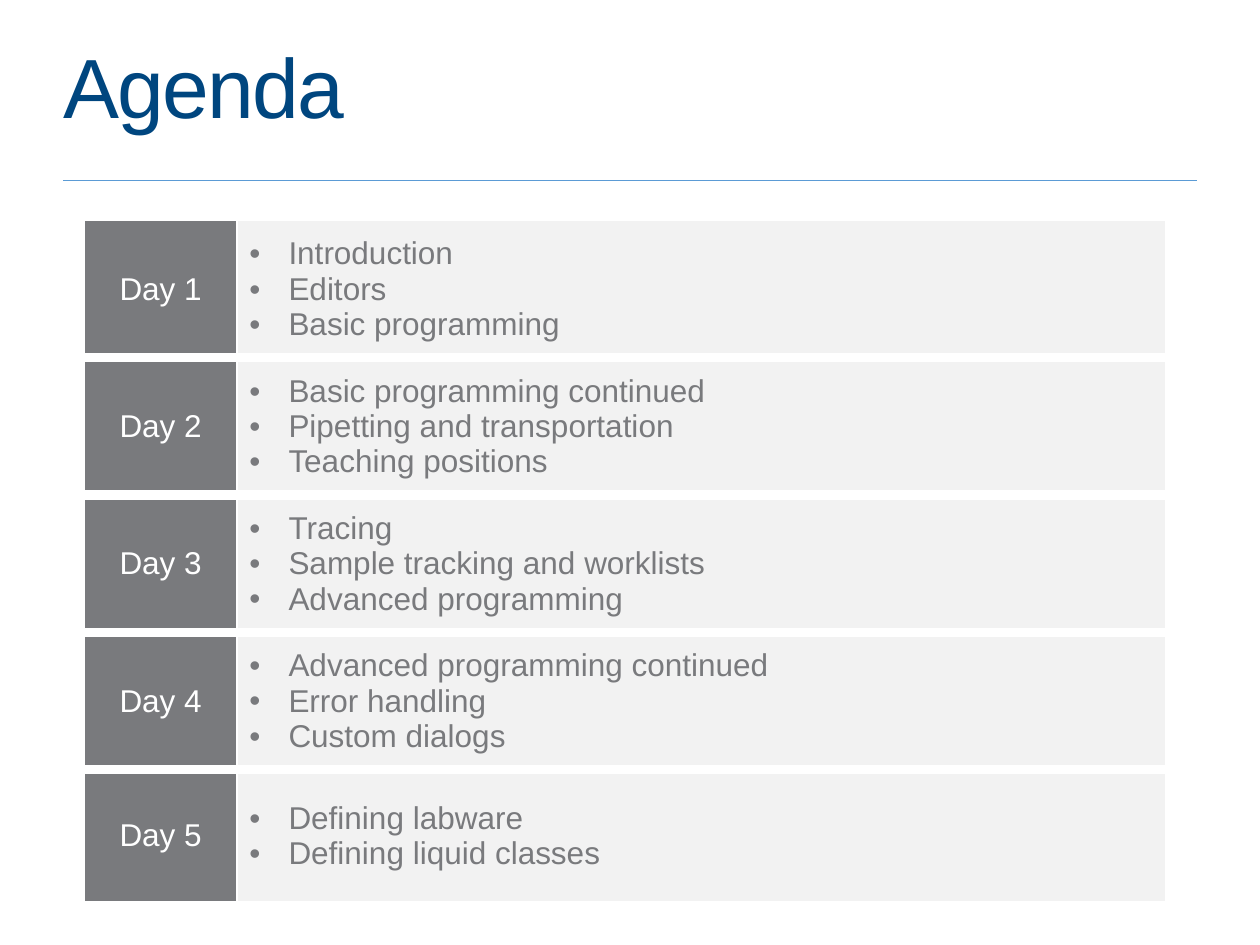
from dataclasses import dataclass

from lxml import etree
from pptx import Presentation
from pptx.dml.color import RGBColor
from pptx.enum import shapes, text
from pptx.oxml import ns
from pptx.slide import Slide
from pptx.table import _Cell
from pptx.text.text import _Paragraph
from pptx.util import Inches, Pt

COLOURS = {"title": "00467F", "rule": "5B9BD5", "grey": "797A7D",
           "pale": "F2F2F2", "white": "FFFFFF"}
FONT = "Arial"
THIN, THICK = 1, 6


@dataclass
class Day:
    name: str
    topics: list[str]
    height: float = 1.09


DAYS = [
    Day("Day 1", ["Introduction", "Editors", "Basic programming"]),
    Day("Day 2", ["Basic programming continued", "Pipetting and transportation",
                  "Teaching positions"]),
    Day("Day 3", ["Tracing", "Sample tracking and worklists", "Advanced programming"]),
    Day("Day 4", ["Advanced programming continued", "Error handling", "Custom dialogs"]),
    Day("Day 5", ["Defining labware", "Defining liquid classes"], 1.05),
]


def colour(name: str) -> RGBColor:
    return RGBColor.from_string(COLOURS[name])


def add_span(para: _Paragraph, words: str, size: float, ink: str):
    span = para.add_run()
    span.text = words
    span.font.name, span.font.size = FONT, Pt(size)
    span.font.color.rgb = colour(ink)
    return span


def add_bullet(para: _Paragraph) -> None:
    props = para._p.get_or_add_pPr()
    indent = Inches(0.31)
    props.set("marL", str(indent))
    props.set("indent", str(-indent))
    etree.SubElement(props, ns.qn("a:buFont"), typeface=FONT)
    etree.SubElement(props, ns.qn("a:buChar"), char="•")


def style_cell(cell: _Cell, fill: str, top: float, bottom: float) -> None:
    cell.vertical_anchor = text.MSO_ANCHOR.MIDDLE
    props = cell._tc.get_or_add_tcPr()
    # Borders come before the fill in the cell properties
    for side, width in (("L", THIN), ("R", THIN), ("T", top), ("B", bottom)):
        edge = etree.SubElement(props, ns.qn(f"a:ln{side}"), w=str(Pt(width)))
        paint = etree.SubElement(edge, ns.qn("a:solidFill"))
        etree.SubElement(paint, ns.qn("a:srgbClr"), val=COLOURS["white"])
    cell.fill.solid()
    cell.fill.fore_color.rgb = colour(fill)


def add_title(page: Slide, words: str) -> None:
    title = page.shapes.title
    title.left, title.top = Inches(0.5), Inches(0)
    title.width, title.height = Inches(8.62), Inches(1.45)
    frame = title.text_frame
    frame.auto_size = text.MSO_AUTO_SIZE.NONE
    frame.vertical_anchor = text.MSO_ANCHOR.MIDDLE
    frame.margin_left = Inches(0)
    para = frame.paragraphs[0]
    para.alignment, para.line_spacing = text.PP_ALIGN.LEFT, 0.9
    span = add_span(para, words, 48, "title")
    span.font._element.set("spc", "-100")


def add_rule(page: Slide) -> None:
    rule = page.shapes.add_connector(shapes.MSO_CONNECTOR.STRAIGHT, Inches(0.5),
                                     Inches(1.43), Inches(9.5), Inches(1.43))
    rule.line.color.rgb = colour("rule")
    rule.line.width = Pt(0.5)
    etree.SubElement(rule._element.spPr, ns.qn("a:effectLst"))


def add_agenda(page: Slide, days: list[Day]) -> None:
    height = sum(day.height for day in days)
    table = page.shapes.add_table(len(days), 2, Inches(0.67), Inches(1.75),
                                  Inches(8.58), Inches(height)).table
    table.first_row = table.horz_banding = False
    table.columns[0].width, table.columns[1].width = Inches(1.21), Inches(7.37)

    for index, day in enumerate(days):
        table.rows[index].height = Inches(day.height)
        top = THIN if index == 0 else THICK
        bottom = THIN if index == len(days) - 1 else THICK
        name_cell, topic_cell = table.cell(index, 0), table.cell(index, 1)
        style_cell(name_cell, "grey", top, bottom)
        style_cell(topic_cell, "pale", top, bottom)

        para = name_cell.text_frame.paragraphs[0]
        para.alignment = text.PP_ALIGN.CENTER
        add_span(para, day.name, 18, "white")

        frame = topic_cell.text_frame
        for number, topic in enumerate(day.topics):
            para = frame.add_paragraph() if number else frame.paragraphs[0]
            add_bullet(para)
            add_span(para, topic, 18, "grey")


def main() -> None:
    deck = Presentation()
    deck.slide_width, deck.slide_height = Inches(10), Inches(7.5)
    page = deck.slides.add_slide(deck.slide_layouts.get_by_name("Title Only"))
    add_rule(page)
    add_title(page, "Agenda")
    add_agenda(page, DAYS)
    deck.save("out.pptx")


if __name__ == "__main__":
    main()
